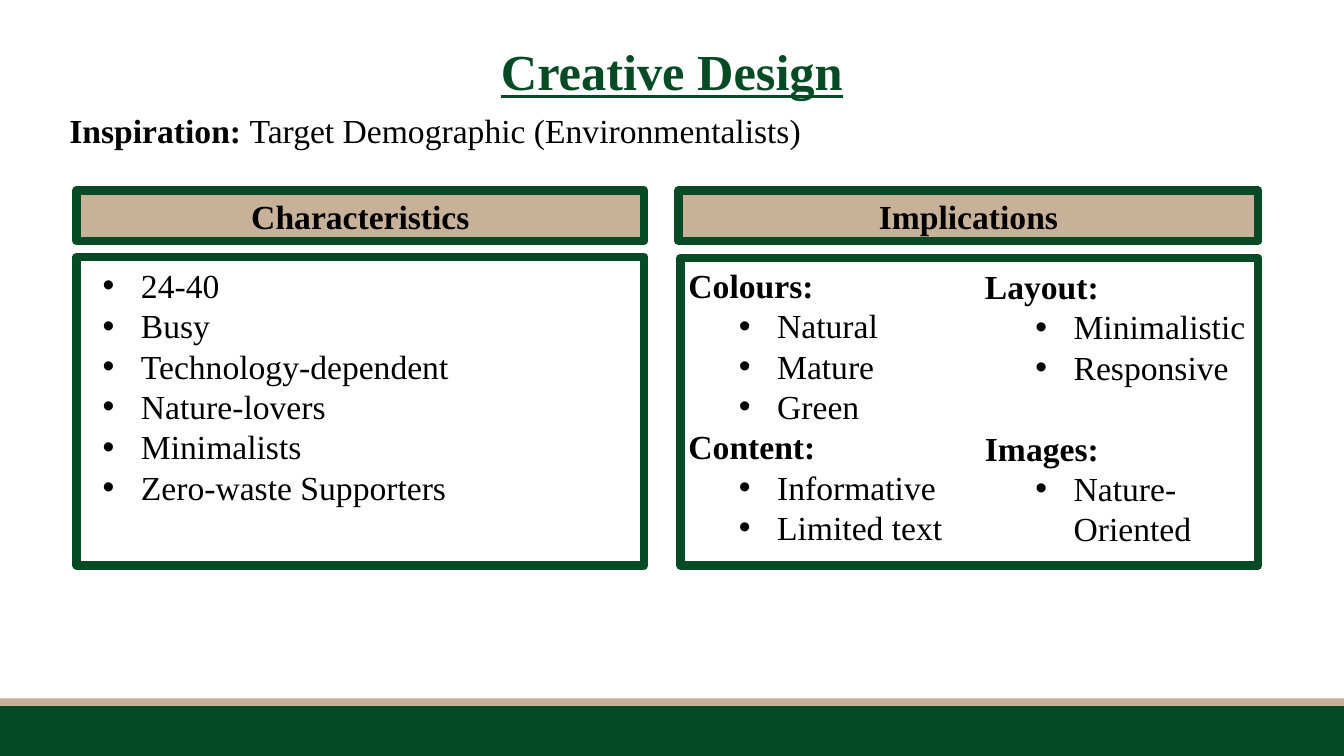
from pptx import Presentation
from pptx.dml.color import RGBColor
from pptx.enum.shapes import MSO_SHAPE
from pptx.enum.text import MSO_ANCHOR, MSO_AUTO_SIZE, PP_ALIGN
from pptx.oxml.ns import qn
from pptx.util import Inches, Pt
from lxml.etree import SubElement

COLORS = {"green": "064B24", "tan": "C7B299", "black": "000000"}
FONT = "Times New Roman"
HANG = 0.38

TRAITS = ["24-40", "Busy", "Technology-dependent", "Nature-lovers",
          "Minimalists", "Zero-waste Supporters"]
# Each column: left, top, width, height, groups of (heading, space before, items)
COLUMNS = [
    (6.73, 2.58, 2.73, 3.67, [("Colours:", 0, ["Natural", "Mature", "Green"]),
                              ("Content:", 0, ["Informative", "Limited text"])]),
    (9.67, 2.59, 2.81, 3.94, [("Layout:", 0, ["Minimalistic", "Responsive"]),
                              ("Images:", 29, ["Nature-Oriented"])]),
]


def color(name):
    return RGBColor.from_string(COLORS[name])


def add_rect(slide, box, fill=None, line=None):
    rect = slide.shapes.add_shape(MSO_SHAPE.RECTANGLE, *map(Inches, box))
    rect.shadow.inherit = False
    if fill:
        rect.fill.solid()
        rect.fill.fore_color.rgb = color(fill)
    else:
        rect.fill.background()
    if line:
        rect.line.color.rgb = color(line)
        rect.line.width = Pt(6)
        # Rounded corners on the thick border
        SubElement(rect.line._get_or_add_ln(), qn("a:round"))
    else:
        rect.line.fill.background()
    return rect


def add_box(slide, box, wrap=True):
    frame = slide.shapes.add_textbox(*map(Inches, box)).text_frame
    frame.word_wrap = wrap
    frame.auto_size = MSO_AUTO_SIZE.SHAPE_TO_FIT_TEXT
    return frame


def next_para(frame):
    first = frame.paragraphs[0]
    return frame.add_paragraph() if first.runs else first


def add_run(para, text, bold=False, size=24, tint="black"):
    run = para.add_run()
    run.text = text
    run.font.name = FONT
    run.font.size = Pt(size)
    run.font.bold = bold
    run.font.color.rgb = color(tint)
    return run


def add_bullets(frame, items, level=0):
    for item in items:
        para = next_para(frame)
        para.level = level
        props = para._p.get_or_add_pPr()
        props.set("marL", str(Inches(HANG + 0.5 * level)))
        props.set("indent", str(Inches(-HANG)))
        SubElement(props, qn("a:buFont"), typeface="Arial")
        SubElement(props, qn("a:buChar"), char="•")
        add_run(para, item)


def add_header(slide, box, text):
    frame = add_rect(slide, box, "tan", "green").text_frame
    frame.word_wrap = True
    frame.vertical_anchor = MSO_ANCHOR.MIDDLE
    para = frame.paragraphs[0]
    para.alignment = PP_ALIGN.CENTER
    add_run(para, text, bold=True)


def add_column(slide, box, groups):
    frame = add_box(slide, box)
    for heading, gap, items in groups:
        para = next_para(frame)
        if gap:
            para.space_before = Pt(gap)
        add_run(para, heading, bold=True)
        add_bullets(frame, items, level=1)


def main():
    deck = Presentation()
    deck.slide_width = Inches(13.33)
    deck.slide_height = Inches(7.5)
    slide = deck.slides.add_slide(deck.slide_layouts[6])

    # Footer bands
    add_rect(slide, (0, 7, 13.33, 0.5), "green")
    add_rect(slide, (0, 6.93, 13.33, 0.07), "tan")

    # Title and inspiration line
    title = add_box(slide, (4.85, 0.35, 3.63, 0.71), wrap=False).paragraphs[0]
    title.alignment = PP_ALIGN.CENTER
    add_run(title, "Creative Design", True, 36, "green").font.underline = True
    intro = add_box(slide, (0.59, 1.04, 8.56, 0.5)).paragraphs[0]
    add_run(intro, "Inspiration: ", bold=True)
    add_run(intro, "Target Demographic (Environmentalists)")

    # Panel headers
    add_header(slide, (0.76, 1.89, 5.63, 0.5), "Characteristics")
    add_header(slide, (6.73, 1.89, 5.75, 0.5), "Implications")

    # Panel contents
    add_bullets(add_box(slide, (0.92, 2.58, 5.46, 2.93)), TRAITS)
    for *box, groups in COLUMNS:
        add_column(slide, box, groups)

    # Panel frames
    add_rect(slide, (0.76, 2.55, 5.63, 3.06), line="green")
    add_rect(slide, (6.75, 2.56, 5.73, 3.05), line="green")

    deck.save("out.pptx")


if __name__ == "__main__":
    main()
